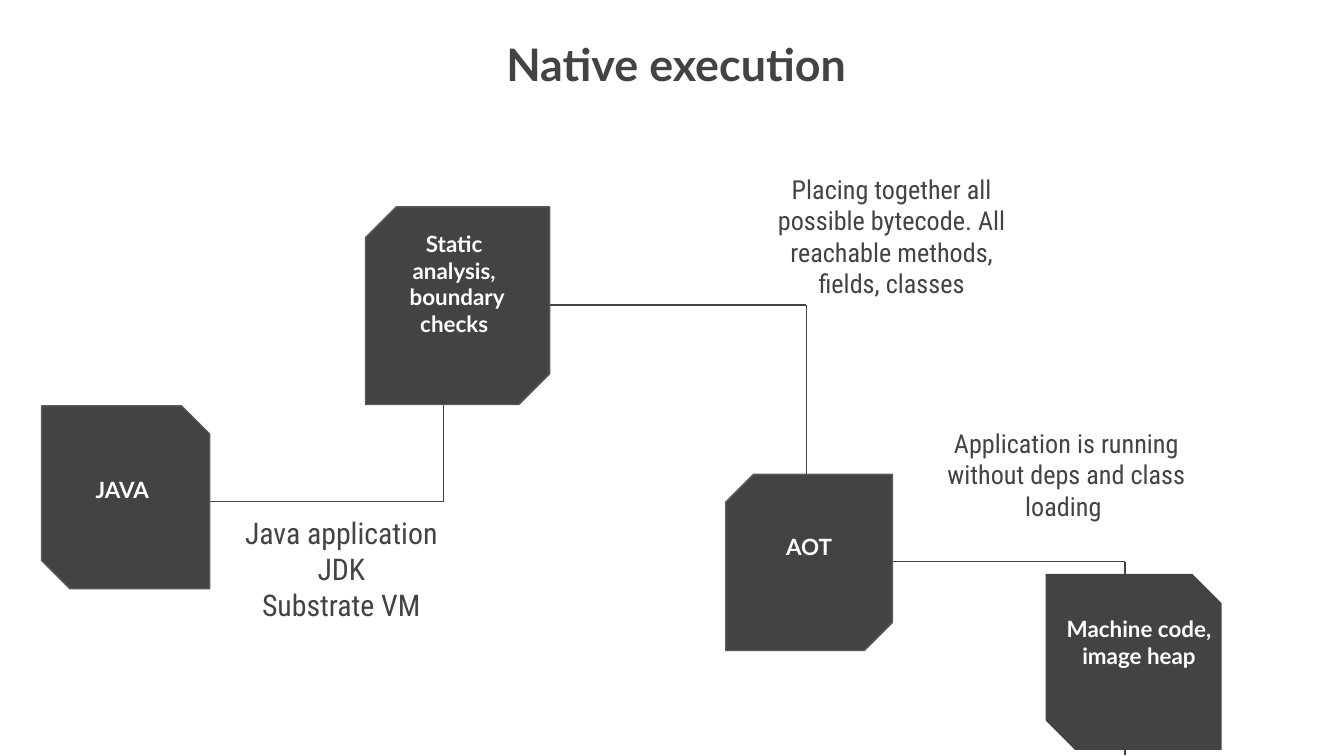
from pptx import Presentation
from pptx.dml.color import RGBColor
from pptx.enum.shapes import MSO_CONNECTOR, MSO_SHAPE
from pptx.enum.text import MSO_ANCHOR, PP_ALIGN
from pptx.oxml.ns import qn
from pptx.util import Inches, Pt
from lxml import etree

DARK = RGBColor(0x43, 0x43, 0x43)
OUTLINE = RGBColor(0x59, 0x59, 0x59)
WHITE = RGBColor(0xFF, 0xFF, 0xFF)
STRAIGHT = MSO_CONNECTOR.STRAIGHT
SNIPPED = MSO_SHAPE.SNIP_2_DIAG_RECTANGLE
TOP = MSO_ANCHOR.TOP
CENTER = PP_ALIGN.CENTER
HEADING_FONT = "Lato"
BODY_FONT = "Roboto Condensed"
SNIP = 0.167


def write_text(shape, lines, font, size, color, bold):
    """Fill a shape with centred, top-anchored paragraphs, one per line."""
    frame = shape.text_frame
    frame.word_wrap = True
    frame.vertical_anchor = TOP
    frame.margin_left = frame.margin_right = Inches(0.1)
    frame.margin_top = frame.margin_bottom = Inches(0.1)
    for index, line in enumerate(lines):
        para = frame.add_paragraph() if index else frame.paragraphs[0]
        para.alignment = CENTER
        span = para.add_run()
        span.text = line
        span.font.name = font
        span.font.size = Pt(size)
        span.font.bold = bold
        span.font.color.rgb = color


deck = Presentation()
deck.slide_width = Inches(10)
deck.slide_height = Inches(10) * 9 // 16
page = deck.slides.add_slide(deck.slide_layouts[5])

title = page.shapes.title
title.left, title.top = Inches(2.18), Inches(0.17)
title.width, title.height = Inches(5.7), Inches(1.03)
write_text(title, ["Native execution"], HEADING_FONT, 24, DARK, True)

# Each step leads right along y from start to corner, then up or down to end.
# start, corner, y, end
paths = [
    (0.9, 3.3, 3.73, 2.16),
    (3.37, 6, 2.27, 3.96),
    (5.99, 8.37, 4.18, 5.62),
]
for start, corner, y, end in paths:
    for ends in ((start, y, corner, y), (corner, y, corner, end)):
        line = page.shapes.add_connector(STRAIGHT, *map(Inches, ends))
        line.line.color.rgb = DARK
        line.line.width = Pt(0.75)
        etree.SubElement(line._element.spPr, qn("a:effectLst"))

# box position, snips on the falling diagonal, outlined, label, label position
steps = [
    ((0.31, 3.02, 1.25, 1.36), False, True,
     ["JAVA"], (0.48, 3.44, 0.86, 0.43)),
    ((2.72, 1.54, 1.37, 1.47), True, True,
     ["Static analysis,", " boundary checks"], (2.9, 1.61, 0.96, 1.08)),
    ((5.4, 3.53, 1.24, 1.31), True, True,
     ["AOT"], (5.59, 3.87, 0.86, 0.43)),
    ((7.78, 4.27, 1.31, 1.31), False, False,
     ["Machine code, image heap"], (7.83, 4.48, 1.29, 0.79)),
]
for place, falling, outlined, label, label_place in steps:
    box = page.shapes.add_shape(SNIPPED, *map(Inches, place))
    box.shadow.inherit = False
    box.adjustments[0] = SNIP if falling else 0
    box.adjustments[1] = 0 if falling else SNIP
    box.fill.solid()
    box.fill.fore_color.rgb = DARK
    if outlined:
        box.line.color.rgb = OUTLINE
        box.line.width = Pt(0.75)
    else:
        box.line.fill.background()
    label_box = page.shapes.add_textbox(*map(Inches, label_place))
    write_text(label_box, label, HEADING_FONT, 12, WHITE, True)

notes = [
    (["Java application", "JDK", "Substrate VM"], 16, (1.57, 3.73, 1.94, 0.66)),
    (["Placing together all possible bytecode. All reachable methods, "
      "fields, classes"], 14, (5.56, 1.19, 2.15, 0.66)),
    (["Application is running without deps and class loading "], 14,
     (6.86, 3.08, 2.15, 0.95)),
]
for lines, size, place in notes:
    note = page.shapes.add_textbox(*map(Inches, place))
    write_text(note, lines, BODY_FONT, size, DARK, False)

deck.save("out.pptx")
